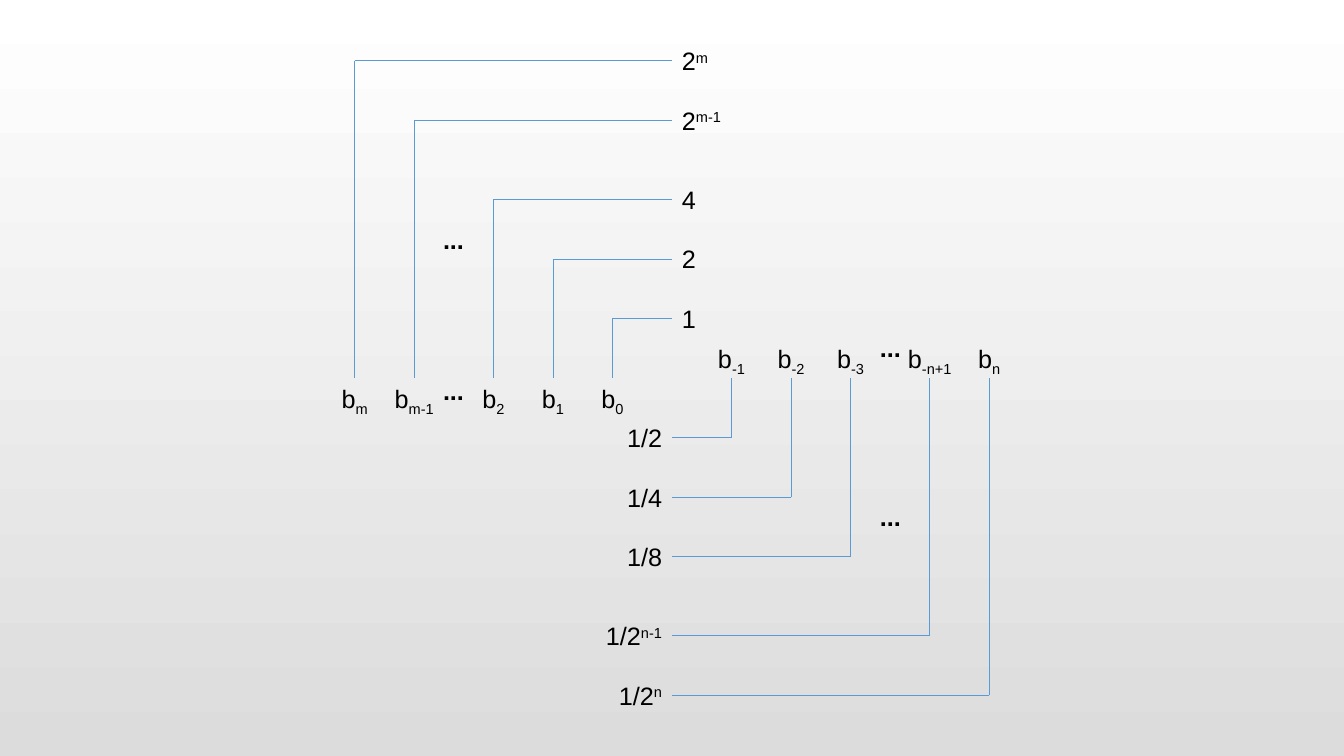
from lxml import etree
from pptx import Presentation, util as u
from pptx.dml import color
from pptx.enum import shapes, text
from pptx.oxml import ns

COLOURS = {"line": "5B9BD5", "text": "000000", "top": "FFFFFF", "bottom": "DCDCDC"}
rgb = {part: color.RGBColor.from_string(value) for part, value in COLOURS.items()}
ALIGN = text.PP_ALIGN

deck = Presentation()
deck.slide_width, deck.slide_height = u.Inches(13.333), u.Inches(7.5)
slide = deck.slides.add_slide(deck.slide_layouts[6])

backdrop = slide.background.fill
backdrop.gradient()
backdrop.gradient_angle = 270
for stop, part in zip(backdrop.gradient_stops, ("top", "bottom")):
    stop.color.rgb = rgb[part]

# Grid: one step is 1.5 cm, measured from the binary point at the slide centre
STEP = u.Cm(1.5)
CENTRE_X, CENTRE_Y = deck.slide_width // 2, deck.slide_height // 2
LABEL_HEIGHT = u.Inches(0.4)
diagram = slide.shapes.add_group_shape().shapes


def add_line(start, end):
    """Draw a thin line between two grid points given in steps."""
    ends = [origin + round(steps * STEP)
            for point in (start, end)
            for origin, steps in zip((CENTRE_X, CENTRE_Y), point)]
    line = diagram.add_connector(shapes.MSO_CONNECTOR.STRAIGHT, *ends)
    line.line.color.rgb = rgb["line"]
    line.line.width = u.Pt(0.5)
    etree.SubElement(line._element.spPr, ns.qn("a:effectLst"))


def add_label(left, middle, width, align, base, script="", baseline=0, bold=None):
    """Write a label with an optional raised or lowered script, placed in steps."""
    box = diagram.add_textbox(CENTRE_X + round(left * STEP),
                              CENTRE_Y + round(middle * STEP) - LABEL_HEIGHT // 2,
                              round(width * STEP), LABEL_HEIGHT)
    box.text_frame.word_wrap = True
    paragraph = box.text_frame.paragraphs[0]
    paragraph.alignment = align
    for words, shift in ((base, 0), (script, baseline)):
        if not words:
            continue
        run = paragraph.add_run()
        run.text = words
        for name, value in {"size": u.Pt(18), "name": "Arial", "bold": bold}.items():
            setattr(run.font, name, value)
        run.font.color.rgb = rgb["text"]
        if shift:
            run._r.get_or_add_rPr().set("baseline", str(shift * 1000))


DISTANCES = (1, 2, 3, 4.33, 5.33)
# Side, weight alignment, weight box left, digit row, then (weight, exponent, digit index)
halves = (
    (-1, ALIGN.LEFT, 0, 0.34,
     (("1", "", "0"), ("2", "", "1"), ("4", "", "2"), ("2", "m-1", "m-1"), ("2", "m", "m"))),
    (1, ALIGN.RIGHT, -2, -0.33,
     (("1/2", "", "-1"), ("1/4", "", "-2"), ("1/8", "", "-3"),
      ("1/2", "n-1", "-n+1"), ("1/2", "n", "n"))),
)
for side, weight_align, weight_left, digit_row, digits in halves:
    for distance, (weight, exponent, index) in zip(DISTANCES, digits):
        corner = (side * distance, side * distance)
        add_line(corner, (0, corner[1]))
        add_line(corner, (corner[0], 0))
        add_label(weight_left, corner[1], 2, weight_align, weight, exponent, 30)
        add_label(corner[0] - 0.67, digit_row, 1.34, ALIGN.CENTER, "b", index, -25)

# Ellipses in the gap between the third and fourth digits
for side, digit_row in ((-1, 0.21), (1, -0.51)):
    for row in (side * 2.33, digit_row):
        add_label(side * 3.67 - 0.67, row, 1.34, ALIGN.CENTER, "...", bold=True)

deck.save("out.pptx")
